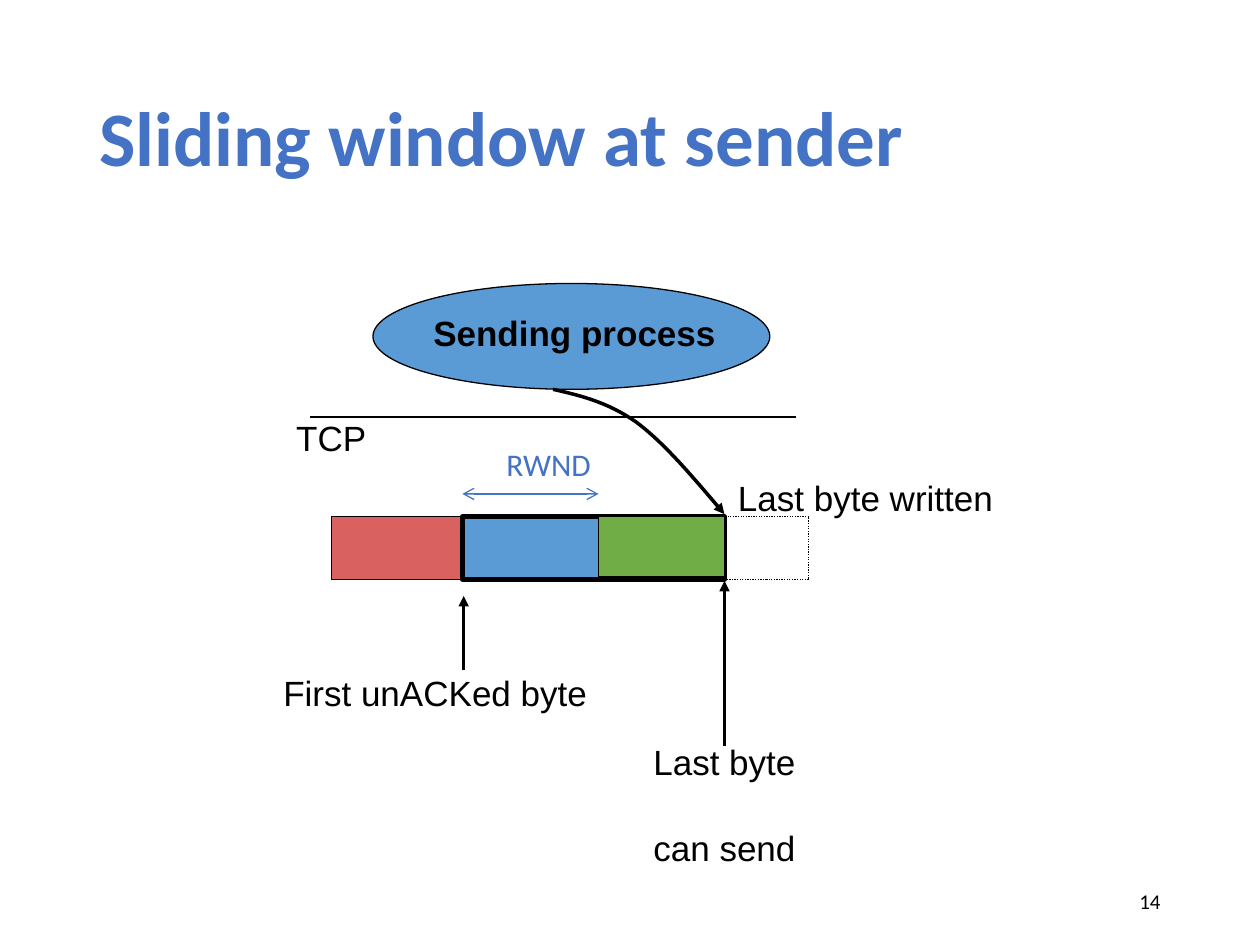
"""Build the slide that explains the sliding window at a TCP sender."""
from pptx import Presentation
from pptx.dml.color import RGBColor
from pptx.enum.dml import MSO_LINE
from pptx.enum.shapes import MSO_CONNECTOR, MSO_SHAPE
from pptx.enum.text import MSO_ANCHOR, MSO_AUTO_SIZE, PP_ALIGN
from pptx.oxml.ns import qn
from pptx.util import Inches, Pt
from lxml.etree import SubElement

THEME = {
    "black": "000000", "accent": "4472C4", "blue": "5B9BD5",
    "red": "D9615F", "green": "70AD47",
    "title": 44, "label": 20, "window": 18, "number": 12,
    "body_font": "Arial", "head_font": "Calibri",
}

BAR_TOP, BAR_H = 4.1, 0.5
UNACKED, WINDOW_END, WRITTEN, BUFFER_END = 3.67, 4.75, 5.75, 6.42

ELLIPSE = (2.96, 2.25, 3.15, 0.84)
BUFFER = [
    (2.63, UNACKED, BAR_H, "red", 0.75, None),
    (UNACKED, WRITTEN, BAR_H, "blue", 2.5, None),
    (WRITTEN, BUFFER_END, BAR_H, None, 0.75, MSO_LINE.ROUND_DOT),
]
READY = (WINDOW_END, WRITTEN, 0.48, "green", 0.75, None)
LINES = [
    ((2.46, 3.31), (6.32, 3.31), "black", 0.75, {}),
    ((3.68, 5.32), (3.68, 4.73), "black", 1.5, {"tail": "triangle"}),
    ((WRITTEN, 5.92), (WRITTEN, 4.61), "black", 1.5, {"tail": "triangle"}),
    ((UNACKED, 3.92), (WINDOW_END, 3.92), "accent", 0.75,
     {"head": "arrow", "tail": "arrow"}),
]
CURVE = [
    ((4.39, 3.09), (4.61, 3.14), (4.82, 3.19), (5.05, 3.35)),
    ((5.05, 3.35), (5.28, 3.52), (5.51, 3.8), (5.75, 4.08)),
]
LABELS = [
    (["Sending process"], (3.34, 2.42, 2.44, 0.43), {"bold": True}),
    (["First unACKed byte"], (2.14, 5.28, 2.63, 0.44), {}),
    (["Last byte", "can send"], (5.08, 5.83, 1.34, 0.77), {"gap": 25}),
    (["TCP"], (2.25, 3.26, 0.76, 0.43), {}),
    (["Last byte written"], (5.75, 3.73, 2.24, 0.44), {}),
    (["RWND"], (3.92, 3.48, 0.88, 0.4),
     {"size": "window", "font": "head_font", "color": "accent", "align": PP_ALIGN.LEFT}),
    (["Sliding window at sender"], (0.69, 0.4, 8.62, 1.45),
     {"size": "title", "font": "head_font", "color": "accent", "bold": True,
      "align": PP_ALIGN.LEFT, "wrap": True, "spacing": 0.9}),
    (["14"], (7.06, 6.95, 2.25, 0.4),
     {"size": "number", "font": "head_font", "align": PP_ALIGN.RIGHT, "wrap": True}),
]


def rgb(name):
    return RGBColor.from_string(THEME[name])


def add_text(s, lines, box, size="label", font="body_font", color="black", bold=False,
             align=PP_ALIGN.CENTER, wrap=False, spacing=None, gap=0):
    tf = s.shapes.add_textbox(*map(Inches, box)).text_frame
    tf.word_wrap = wrap
    tf.auto_size = MSO_AUTO_SIZE.NONE if wrap else MSO_AUTO_SIZE.SHAPE_TO_FIT_TEXT
    tf.vertical_anchor = MSO_ANCHOR.MIDDLE if wrap else MSO_ANCHOR.TOP
    for i, line in enumerate(lines):
        p = tf.add_paragraph() if i else tf.paragraphs[0]
        p.alignment = align
        p.line_spacing = spacing
        if i:
            p.space_before = Pt(gap)
        r = p.add_run()
        r.text = line
        r.font.name, r.font.size, r.font.bold = THEME[font], Pt(THEME[size]), bold
        r.font.color.rgb = rgb(color)


def style_line(line, color, width, **ends):
    line.color.rgb = rgb(color)
    line.width = Pt(width)
    for end in ("head", "tail"):
        if end in ends:
            SubElement(line._get_or_add_ln(), qn(f"a:{end}End"), type=ends[end])


def add_box(s, kind, box, fill, width, dash=None):
    sp = s.shapes.add_shape(kind, *map(Inches, box))
    sp.shadow.inherit = False
    if fill:
        sp.fill.solid()
        sp.fill.fore_color.rgb = rgb(fill)
    else:
        sp.fill.background()
    style_line(sp.line, "black", width)
    if dash:
        sp.line.dash_style = dash


def add_segment(s, left, right, height, fill, width, dash):
    add_box(s, MSO_SHAPE.RECTANGLE, (left, BAR_TOP, right - left, height), fill, width, dash)


def add_line(s, start, end, color, width, ends):
    sp = s.shapes.add_connector(MSO_CONNECTOR.STRAIGHT, *map(Inches, start + end))
    SubElement(sp._element.spPr, qn("a:effectLst"))
    style_line(sp.line, color, width, **ends)


def bezier(points, t):
    weights = ((1 - t) ** 3, 3 * t * (1 - t) ** 2, 3 * t * t * (1 - t), t ** 3)
    return tuple(Inches(sum(w * v for w, v in zip(weights, axis))) for axis in zip(*points))


def add_curve(s, segments, steps=16):
    points = [bezier(seg, i / steps) for seg in segments for i in range(1, steps + 1)]
    builder = s.shapes.build_freeform(*map(Inches, segments[0][0]))
    builder.add_line_segments(points, close=False)
    sp = builder.convert_to_shape()
    sp.shadow.inherit = False
    sp.fill.background()
    style_line(sp.line, "black", 2, tail="triangle")


def main():
    prs = Presentation()
    prs.slide_width, prs.slide_height = Inches(10), Inches(7.5)
    s = prs.slides.add_slide(prs.slide_layouts[6])
    add_box(s, MSO_SHAPE.OVAL, ELLIPSE, "blue", 0.75)
    for segment in BUFFER:
        add_segment(s, *segment)
    add_curve(s, CURVE)
    for line in LINES:
        add_line(s, *line)
    add_segment(s, *READY)
    for lines, box, fmt in LABELS:
        add_text(s, lines, box, **fmt)
    prs.save("out.pptx")


if __name__ == "__main__":
    main()
